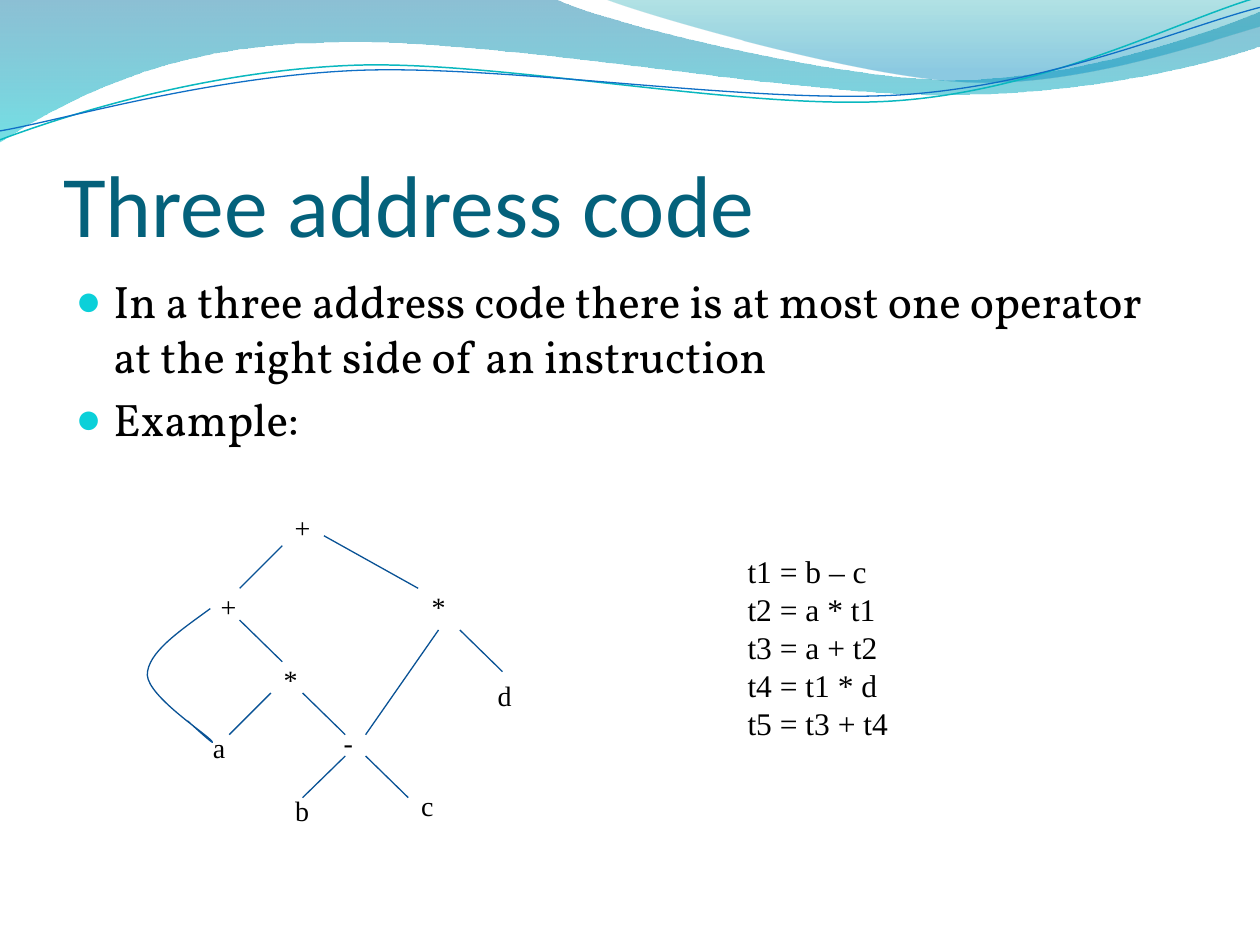
import pptx
import pptx.dml.color
import pptx.enum.shapes
import pptx.enum.text
import pptx.oxml.ns
import pptx.util
from pptx.util import Cm
import lxml.etree

COLORS = {
    "title": "04617B", "text": "000000", "bullet": "0BD0D9", "tree": "095295",
    "teal_line": "0AB8BF", "blue_line": "0F6FC6",
    "deep": "0074A1", "aqua": "00C6CF", "green": "00A1A9", "sky": "008BBF",
}
SERIF = "Times New Roman"
qn = pptx.oxml.ns.qn


def write(frame, text, *, font=SERIF, size=16, color="text", before=0, wrap=False,
          anchor=pptx.enum.text.MSO_ANCHOR.TOP,
          fit=pptx.enum.text.MSO_AUTO_SIZE.SHAPE_TO_FIT_TEXT):
    """Fill a text frame, one paragraph per line of text."""
    frame.text = text
    frame.word_wrap = wrap
    frame.auto_size = fit
    frame.vertical_anchor = anchor
    for para in frame.paragraphs:
        para.alignment = pptx.enum.text.PP_ALIGN.LEFT
        para.space_before = pptx.util.Pt(before)
        for span in para.runs:
            span.font.name = font
            span.font.size = pptx.util.Pt(size)
            span.font.color.rgb = pptx.dml.color.RGBColor.from_string(COLORS[color])


def draw_path(start, segments, close=False):
    """Draw a path in cm; a segment is one end point or three Bezier points."""
    points = [(Cm(x), Cm(y)) for segment in segments for x, y in segment]
    builder = page.shapes.build_freeform(Cm(start[0]), Cm(start[1]), scale=1.0)
    builder.add_line_segments(points, close=close)
    shape = builder.convert_to_shape()
    shape.shadow.inherit = False
    pieces = iter(list(shape.element.iter(qn("a:lnTo"))))
    for segment in segments:
        first, *others = [next(pieces) for _ in segment]
        if others:
            first.tag = qn("a:cubicBezTo")
        for piece in others:
            first.append(piece[0])
            piece.getparent().remove(piece)
    return shape


deck = pptx.Presentation()
deck.slide_width, deck.slide_height = Cm(25.4), Cm(19.05)
page = deck.slides.add_slide(deck.slide_layouts[1])

# Wave bands: start, segments, gradient stops (position, colour, opacity in %)
bands = [
    ((0, -0.03),
     [[(11.18, -0.03)],
      [(12.09, 0.43), (16.87, 1.6), (19.25, 1.6)],
      [(21.67, 1.6), (24.33, 0.66), (25.4, 0.23)],
      [(25.43, 0.91)],
      [(24.97, 1.12), (22.1, 1.93), (18.95, 1.91)],
      [(15.8, 1.91), (9.7, 0.71), (6.53, 0.86)],
      [(3.28, 0.89), (1.17, 2.11), (-0.03, 2.87)]],
     [(0, "deep", 45), (1, "aqua", 55)]),
    ((12.17, -0.03),
     [[(12.93, 0.28), (17.32, 1.57), (19.53, 1.65)],
      [(21.74, 1.75), (24.41, 0.81), (25.4, 0.53)],
      [(25.4, 0)]],
     [(0, "green", 30), (0.8, "sky", 45)]),
]
for start, segments, stops in bands:
    band = draw_path(start, segments, close=True)
    band.line.fill.background()
    band.fill.gradient()
    band.fill.gradient_angle = 270
    for stop, (position, color, opacity) in zip(band.fill.gradient_stops, stops):
        stop.position = position
        stop.color.rgb = pptx.dml.color.RGBColor.from_string(COLORS[color])
    for node, (_, _, opacity) in zip(band.element.iter(qn("a:srgbClr")), stops):
        lxml.etree.SubElement(node, qn("a:alpha"), val=str(opacity * 1000))

# Wave lines and the loop that joins "+" to "a" in the tree
curves = [
    ((0, 2.82),
     [[(1.22, 2.36), (4.01, 1.45), (7.04, 1.32)],
      [(10.03, 1.19), (15.06, 2.26), (18.11, 2.03)],
      [(21.16, 1.8), (23.83, 0.38), (25.35, -0.05)]], "teal_line", 0.85),
    ((0, 2.64),
     [[(1.19, 2.44), (4.17, 1.55), (7.19, 1.42)],
      [(10.24, 1.3), (15.16, 2.11), (18.21, 1.91)],
      [(21.23, 1.7), (23.9, 0.53), (25.4, 0.15)]], "blue_line", 0.75),
    ((4.24, 12.27),
     [[(3.61, 12.73), (2.97, 13.16), (2.97, 13.61)],
      [(3, 14.05), (4.14, 14.78), (4.27, 14.94)],
      [(4.39, 15.09), (3.78, 14.53), (3.78, 14.53)]], "tree", 0.75),
]
for start, segments, color, width in curves:
    curve = draw_path(start, segments)
    curve.fill.background()
    curve.line.color.rgb = pptx.dml.color.RGBColor.from_string(COLORS[color])
    curve.line.width = pptx.util.Pt(width)

# Title and list, brought in front of the waves
title, body = page.shapes.title, page.placeholders[1]
for box, top, height in ((title, 1.96, 3.18), (body, 5.38, 4.57)):
    box.left, box.top, box.width, box.height = Cm(1.27), Cm(top), Cm(22.86), Cm(height)
    box.element.getparent().append(box.element)
fixed = pptx.enum.text.MSO_AUTO_SIZE.NONE
write(title.text_frame, "Three address code", font="Calibri", size=50, color="title",
      wrap=True, anchor=pptx.enum.text.MSO_ANCHOR.BOTTOM, fit=fixed)
frame = title.text_frame
frame.margin_left = frame.margin_right = frame.margin_bottom = 0
write(body.text_frame,
      "In a three address code there is at most one operator at the right side of an instruction\n"
      "Example:", font="Vollkorn", size=26, before=5.2, wrap=True, fit=fixed)
for para in body.text_frame.paragraphs:
    properties = para._p.get_or_add_pPr()
    properties.set("marL", str(Cm(0.76)))
    properties.set("indent", str(-Cm(0.76)))
    bullet_color = lxml.etree.SubElement(properties, qn("a:buClr"))
    lxml.etree.SubElement(bullet_color, qn("a:srgbClr"), val=COLORS["bullet"])
    lxml.etree.SubElement(properties, qn("a:buSzPct"), val="95000")
    lxml.etree.SubElement(properties, qn("a:buChar"), char="●")

# Expression tree: text, left, top, width
nodes = [
    ("+", 5.69, 10.16, 0.84), ("+", 4.2, 11.76, 0.84), ("*", 8.45, 11.76, 0.79),
    ("*", 5.47, 13.24, 0.79), ("-", 6.68, 14.51, 0.71), ("b", 5.7, 15.88, 0.79),
    ("c", 8.24, 15.78, 0.76), ("a", 4.04, 14.61, 0.76), ("d", 9.78, 13.55, 0.79),
]
for text, left, top, width in nodes:
    box = page.shapes.add_textbox(Cm(left), Cm(top), Cm(width), Cm(0.94))
    write(box.text_frame, text)

edges = [
    (5.69, 11, 4.83, 11.86), (5.46, 13.97, 4.62, 14.81), (6.1, 13.97, 6.96, 14.81),
    (4.83, 12.5, 5.69, 13.34), (6.53, 10.8, 8.43, 11.86), (8.84, 12.7, 7.37, 14.81),
    (6.96, 15.24, 6.1, 16.08), (7.37, 15.24, 8.23, 16.08), (9.27, 12.7, 10.13, 13.54),
]
for edge in edges:
    line = page.shapes.add_connector(pptx.enum.shapes.MSO_CONNECTOR.STRAIGHT, *map(Cm, edge))
    line.line.color.rgb = pptx.dml.color.RGBColor.from_string(COLORS["tree"])
    line.line.width = pptx.util.Pt(0.75)
    lxml.etree.SubElement(line.element.spPr, qn("a:effectLst"))

code = page.shapes.add_textbox(Cm(14.82), Cm(11.01), Cm(3.38), Cm(4.88))
write(code.text_frame,
      "t1 = b – c\nt2 = a * t1\nt3 = a + t2\nt4 = t1 * d\nt5 = t3 + t4", size=18)

deck.save("out.pptx")
